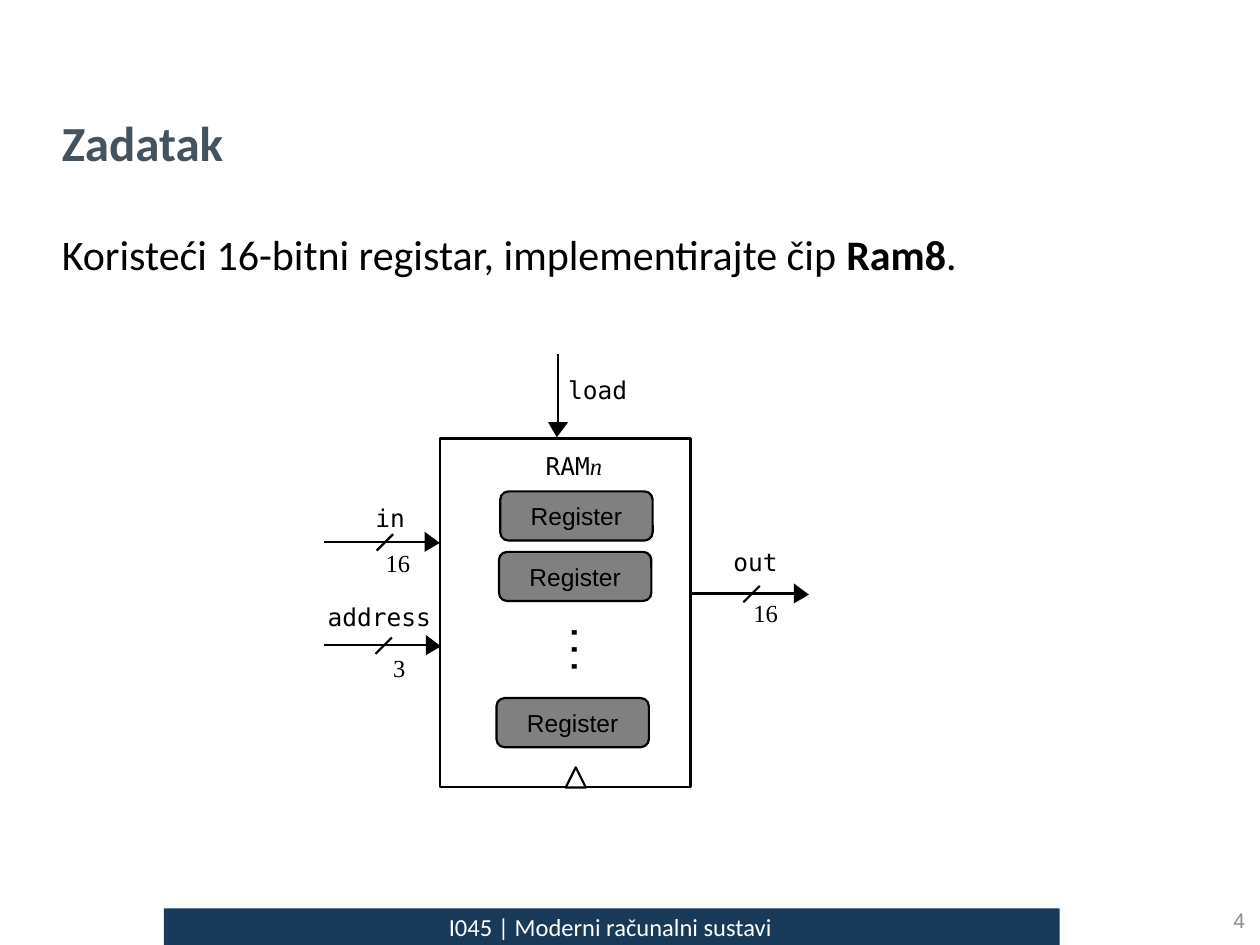
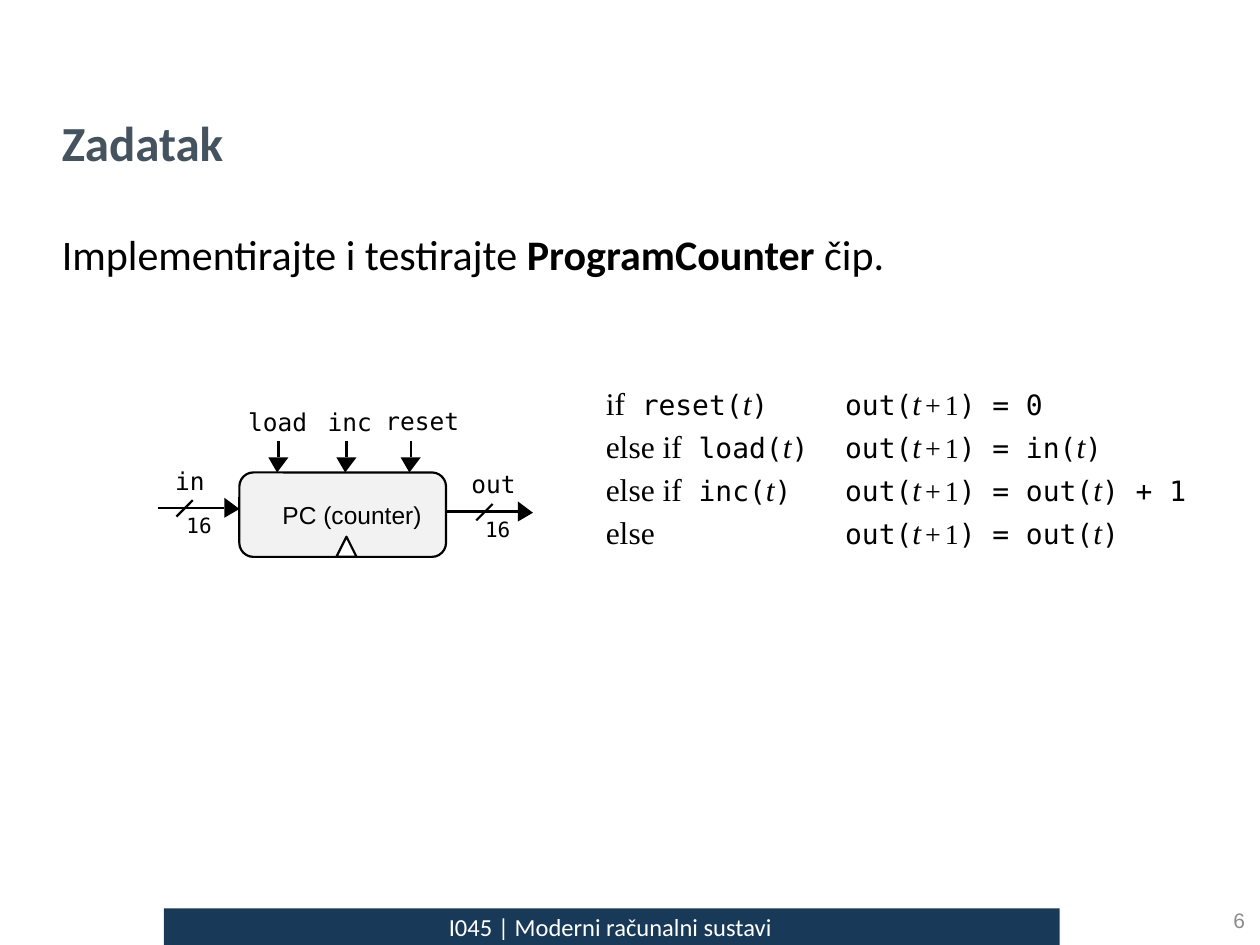
from lxml import etree
from pptx import Presentation
from pptx import util as u
from pptx.dml.color import RGBColor
from pptx.enum import shapes, text
from pptx.oxml.ns import qn

# ---- Shared look ----
COLORS = {"band": "183957", "title": "45535F", "number": "8C8C8C", "ink": "000000",
          "white": "FFFFFF", "register": "808080", "counter": "F2F2F2"}
SANS, SERIF, MONO, BODY = "Arial", "Times New Roman", "DejaVu Sans Mono", "Calibri"
FOOTER = "I045 | Moderni računalni sustavi"
LINE_WIDTH = 1.25
HEAD_LENGTH, HEAD_HALF = 0.12, 0.08

# Run styles: font, size, italic
CODE = (MONO, 16, False)
WORD = (SERIF, 18, False)
VARIABLE = (SERIF, 18, True)
NUMBER = (SERIF, 16, False)
THIN = (SERIF, 9, False)
LABEL = (MONO, 14, False)
WIDTH = (SERIF, 14, False)
SMALL = (MONO, 12, False)

# ---- Content: body text as (text, bold) ----
SLIDES = [
    {"number": "4", "title": "Zadatak",
     "body": [("Koristeći 16-bitni registar, implementirajte čip ", False),
              ("Ram8", True), (".", False)]},
    {"number": "6", "title": "Zadatak",
     "body": [("Implementirajte i testirajte ", False),
              ("ProgramCounter", True), (" čip.", False)]},
]

# Labels: left, top, width, height, runs
RAM_LABELS = [
    (5.82, 4.34, 0.39, 0.24, [("out", LABEL)]),
    (2.98, 3.99, 0.4, 0.24, [("in", LABEL)]),
    (4.51, 2.98, 0.63, 0.24, [("load", LABEL)]),
    (4.33, 3.58, 0.6, 0.24, [("RAM", LABEL), ("n", (SERIF, 14, True))]),
    (2.6, 4.78, 0.84, 0.24, [("address", LABEL)]),
    (3.12, 5.18, 0.29, 0.24, [("3", WIDTH)]),
    (5.98, 4.75, 0.29, 0.24, [("16", WIDTH)]),
    (3.06, 4.35, 0.29, 0.24, [("16", WIDTH)]),
]
COUNTER_LABELS = [
    (1.39, 3.7, 0.4, 0.24, [("in", LABEL)]),
    (1.48, 4.07, 0.29, 0.2, [("16", SMALL)]),
    (3.74, 3.72, 0.39, 0.24, [("out", LABEL)]),
    (3.85, 4.1, 0.29, 0.2, [("16", SMALL)]),
    (1.97, 3.23, 0.63, 0.24, [("load", LABEL)]),
    (2.6, 3.23, 0.63, 0.24, [("inc", LABEL)]),
    (3.06, 3.22, 0.63, 0.24, [("reset", LABEL)]),
]
# Buses: start x, tip x, y, centre x of the slash
RAM_BUSES = [(2.57, 3.49, 4.3, 3.06), (2.57, 3.5, 5.12, 3.05), (5.49, 6.42, 4.71, 5.97)]
COUNTER_BUSES = [(1.25, 1.9, 4.03, 1.47), (3.54, 4.23, 4.06, 3.85)]
# Control arrows: x, start y, tip y
RAM_CONTROLS = [(4.43, 2.81, 3.47)]
COUNTER_CONTROLS = [(x, 3.5, 3.75) for x in (2.21, 2.75, 3.26)]
REGISTERS = [(3.97, 3.9), (3.96, 4.38), (3.94, 5.54)]

# Rules: keyword, condition signal, value of out(t+1)
RULES = [
    ("if", "reset", [("0", CODE)]),
    ("else if", "load", [("in(", CODE), ("t", VARIABLE), (")", CODE)]),
    ("else if", "inc", [("out(", CODE), ("t", VARIABLE), (") + 1", CODE)]),
    ("else", None, [("out(", CODE), ("t", VARIABLE), (")", CODE)]),
]
NEXT_OUT = [("\tout(", CODE), ("t", VARIABLE), (" ", THIN), ("+", NUMBER),
            (" ", THIN), ("1", NUMBER), (") = ", CODE)]
RESULT_TAB = 1.9


# ---- Helpers ----
def rgb(name):
    return RGBColor.from_string(COLORS[name])


def set_font(font, name, size, color="ink", bold=False, italic=False):
    font.name, font.size = name, u.Pt(size)
    font.bold, font.italic = bold, italic
    font.color.rgb = rgb(color)


def box(left, top, width, height):
    return [u.Inches(value) for value in (left, top, width, height)]


def place(shape, *area):
    shape.left, shape.top, shape.width, shape.height = box(*area)


def paint(shape, fill, line="ink"):
    shape.shadow.inherit = False
    shape.fill.solid()
    shape.fill.fore_color.rgb = rgb(fill)
    if line:
        shape.line.color.rgb = rgb(line)
        shape.line.width = u.Pt(LINE_WIDTH)
    else:
        shape.line.fill.background()


def no_margins(frame):
    frame.margin_left = frame.margin_right = frame.margin_top = frame.margin_bottom = 0


def write_runs(paragraph, runs):
    for words, (name, size, italic) in runs:
        run = paragraph.add_run()
        run.text = words
        set_font(run.font, name, size, italic=italic)


def add_line_of_text(parent, area, words, name, size, color, align, bold=False):
    textbox = parent.add_textbox(*box(*area))
    frame = textbox.text_frame
    frame.word_wrap = True
    frame.text = words
    frame.paragraphs[0].alignment = align
    set_font(frame.paragraphs[0].runs[0].font, name, size, color, bold)
    return textbox


def add_block(parent, area, kind, fill, words="", shift=0):
    shape = parent.add_shape(kind, *box(*area))
    paint(shape, fill)
    if words:
        frame = shape.text_frame
        no_margins(frame)
        frame.margin_left = u.Inches(shift)
        frame.word_wrap = False
        frame.vertical_anchor = text.MSO_ANCHOR.MIDDLE
        frame.text = words
        frame.paragraphs[0].alignment = text.PP_ALIGN.CENTER
        set_font(frame.paragraphs[0].runs[0].font, SANS, 14)


def add_line(parent, x1, y1, x2, y2):
    line = parent.add_connector(shapes.MSO_CONNECTOR.STRAIGHT, *box(x1, y1, x2, y2))
    line.line.color.rgb = rgb("ink")
    line.line.width = u.Pt(LINE_WIDTH)
    etree.SubElement(line._element.spPr, qn("a:effectLst"))


def add_triangle(parent, points, fill, line=None):
    points = [(u.Inches(x), u.Inches(y)) for x, y in points]
    builder = parent.build_freeform(*points[0], scale=1.0)
    builder.add_line_segments(points[1:], close=True)
    paint(builder.convert_to_shape(), fill, line)


def add_bus(parent, start, tip, y, slash):
    base = tip - HEAD_LENGTH
    add_line(parent, start, y, base, y)
    add_triangle(parent, [(base, y - HEAD_HALF), (tip, y + 0.01), (base, y + HEAD_HALF)], "ink")
    add_line(parent, slash - 0.07, y + 0.07, slash + 0.06, y - 0.06)


def add_control(parent, x, start, tip):
    base = tip - HEAD_LENGTH
    add_line(parent, x, start, x, base)
    add_triangle(parent, [(x - HEAD_HALF, base), (x - 0.01, tip), (x + HEAD_HALF, base)], "ink")


def add_clock(parent, x, bottom):
    add_triangle(parent, [(x + HEAD_HALF, bottom), (x - HEAD_HALF, bottom), (x, bottom - 0.16)],
                 "white", "ink")


def add_signals(parent, labels, buses, controls):
    for *area, runs in labels:
        frame = parent.add_textbox(*box(*area)).text_frame
        no_margins(frame)
        frame.word_wrap = True
        write_runs(frame.paragraphs[0], runs)
    for bus in buses:
        add_bus(parent, *bus)
    for control in controls:
        add_control(parent, *control)


# ---- Slide parts ----
def add_band(slide, layout):
    """Draw the footer band and move it to the layout that all slides use."""
    band = slide.shapes.add_shape(shapes.MSO_SHAPE.RECTANGLE, *box(1.3, 7.21, 7.11, 0.29))
    paint(band, "band", None)
    footer = add_line_of_text(slide.shapes, (1.38, 7.19, 6.93, 0.34), FOOTER, BODY, 14,
                              "white", text.PP_ALIGN.CENTER)
    for shape in (band, footer):
        layout.shapes._spTree.append(shape._element)


def add_frame(slide, content):
    title, body = slide.shapes.title, slide.placeholders[1]
    place(title, 0.39, 0.84, 7.24, 0.63)
    place(body, 0.39, 1.76, 8.9, 5.22)
    for shape in (title, body):
        shape.text_frame.auto_size = text.MSO_AUTO_SIZE.NONE
        shape.text_frame.vertical_anchor = text.MSO_ANCHOR.TOP

    title.text_frame.text = content["title"]
    heading = title.text_frame.paragraphs[0]
    heading.alignment = text.PP_ALIGN.LEFT
    set_font(heading.runs[0].font, BODY, 28, "title", bold=True)

    paragraph = body.text_frame.paragraphs[0]
    properties = paragraph._p.get_or_add_pPr()
    properties.set("marL", "0")
    properties.set("indent", "0")
    etree.SubElement(properties, qn("a:buNone"))
    for words, bold in content["body"]:
        run = paragraph.add_run()
        run.text = words
        set_font(run.font, BODY, 24, bold=bold)

    number = add_line_of_text(slide.shapes, (9.45, 7.1, 0.53, 0.4), content["number"], SANS, 12,
                              "number", text.PP_ALIGN.RIGHT)
    number.text_frame.vertical_anchor = text.MSO_ANCHOR.MIDDLE


def add_ram(slide):
    diagram = slide.shapes.add_group_shape().shapes
    add_block(diagram, (3.49, 3.48, 1.99, 2.77), shapes.MSO_SHAPE.RECTANGLE, "white")
    for left, top in REGISTERS:
        add_block(diagram, (left, top, 1.21, 0.39), shapes.MSO_SHAPE.ROUNDED_RECTANGLE,
                  "register", "Register")
    dots = add_line_of_text(diagram, (4.24, 5.21, 0.77, 0.27), "...", MONO, 16, "ink",
                            text.PP_ALIGN.LEFT, bold=True)
    no_margins(dots.text_frame)
    dots.rotation = 90
    add_clock(diagram, 4.57, 6.25)
    add_signals(diagram, RAM_LABELS, RAM_BUSES, RAM_CONTROLS)


def add_counter(slide):
    diagram = slide.shapes.add_group_shape().shapes
    add_block(diagram, (1.9, 3.75, 1.64, 0.67), shapes.MSO_SHAPE.ROUNDED_RECTANGLE,
              "counter", "PC (counter)", shift=0.15)
    add_clock(diagram, 2.75, 4.42)
    add_signals(diagram, COUNTER_LABELS, COUNTER_BUSES, COUNTER_CONTROLS)


def add_rules(slide):
    frame = slide.shapes.add_textbox(*box(4.71, 3, 5.2, 1.67)).text_frame
    frame.word_wrap = True
    for index, (keyword, signal, value) in enumerate(RULES):
        paragraph = frame.add_paragraph() if index else frame.paragraphs[0]
        paragraph.space_before = u.Pt(3 if index else 6)
        tabs = etree.SubElement(paragraph._p.get_or_add_pPr(), qn("a:tabLst"))
        etree.SubElement(tabs, qn("a:tab"), pos=str(u.Inches(RESULT_TAB)), algn="l")
        condition = [(f" {signal}(", CODE), ("t", VARIABLE), (")", CODE)] if signal else []
        write_runs(paragraph, [(keyword, WORD)] + condition + NEXT_OUT + value)


# ---- Build ----
presentation = Presentation()
presentation.slide_width, presentation.slide_height = u.Inches(10), u.Inches(7.5)
layout = presentation.slide_layouts[1]
ram_slide, counter_slide = [presentation.slides.add_slide(layout) for _ in SLIDES]
add_band(ram_slide, layout)
for slide, content in zip((ram_slide, counter_slide), SLIDES):
    add_frame(slide, content)
add_ram(ram_slide)
add_counter(counter_slide)
add_rules(counter_slide)
presentation.save("out.pptx")
